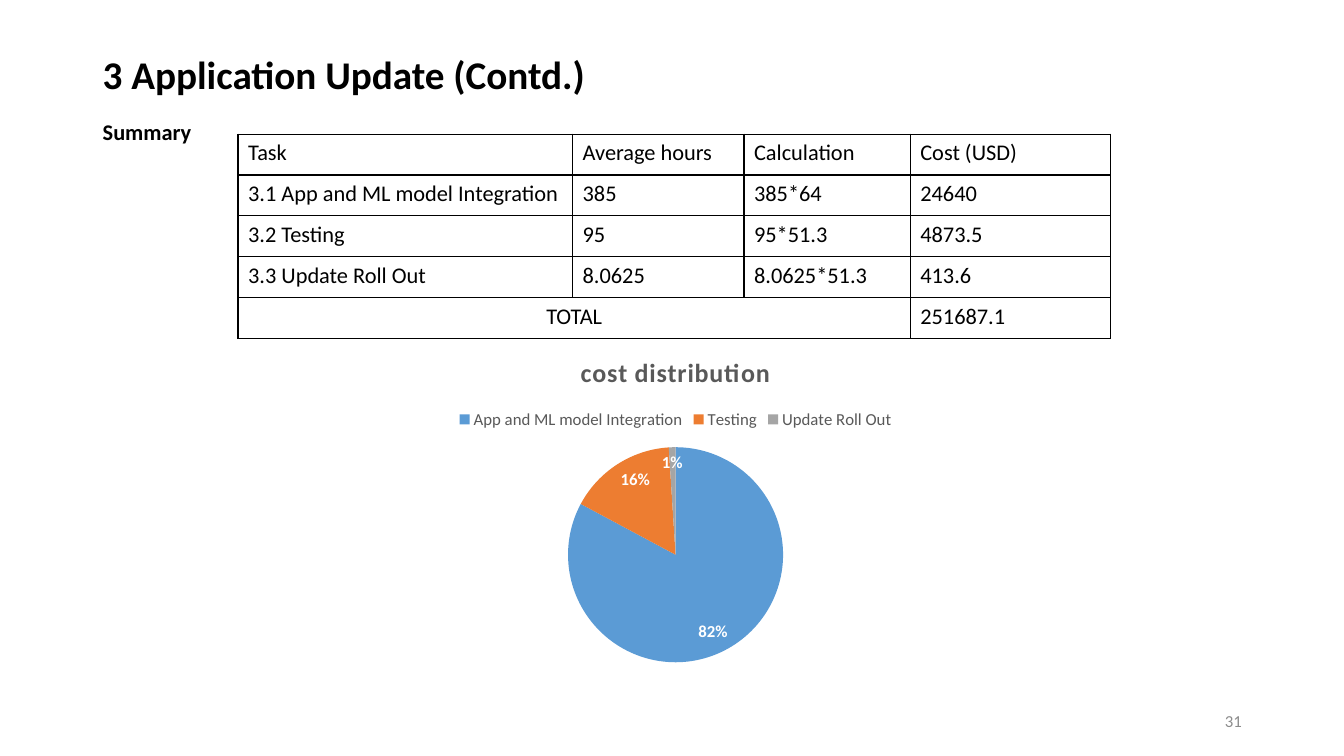
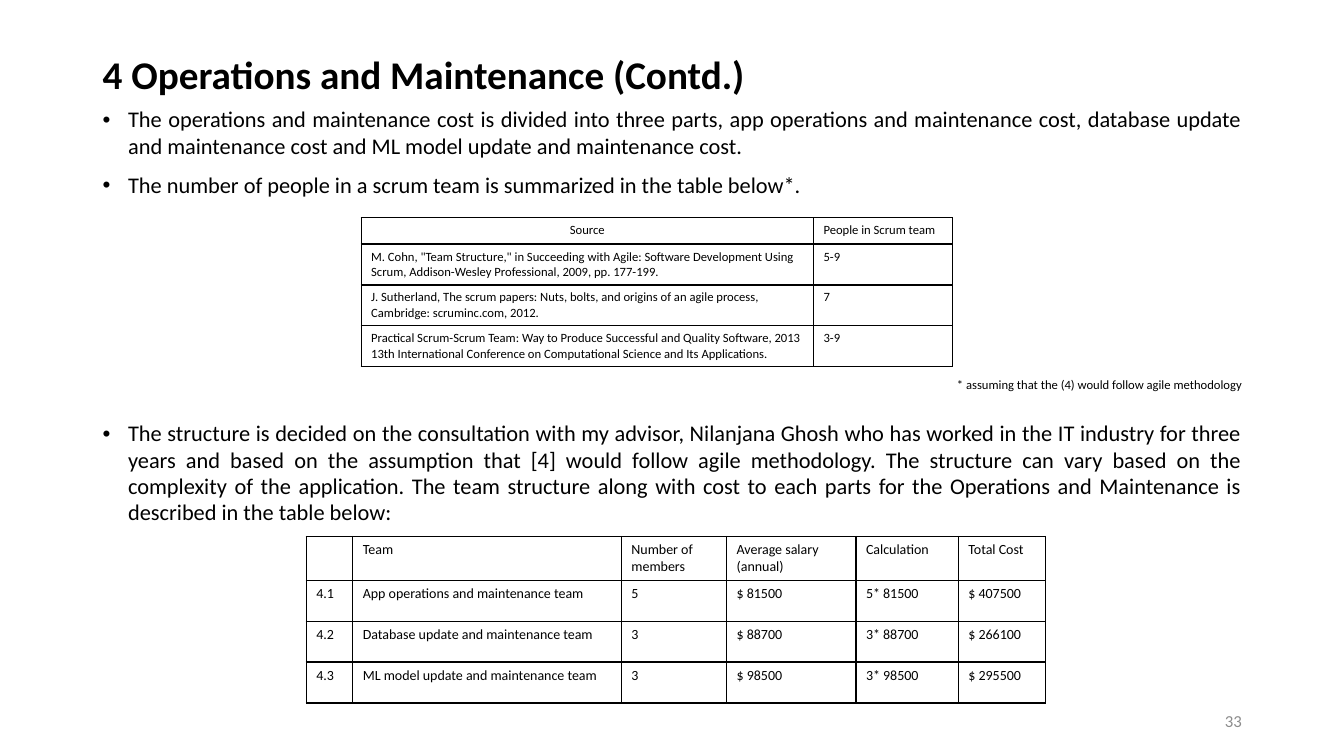
from lxml.etree import SubElement
from pptx import Presentation
from pptx.chart.data import CategoryChartData
from pptx.dml.color import RGBColor
from pptx.enum.chart import XL_CHART_TYPE as ChartType
from pptx.enum.chart import XL_LABEL_POSITION as LabelPosition
from pptx.enum.chart import XL_LEGEND_POSITION as LegendPosition
from pptx.enum.text import MSO_ANCHOR as Anchor
from pptx.enum.text import PP_ALIGN as Align
from pptx.oxml.ns import qn
from pptx.util import Cm, Pt

BLACK = RGBColor(0x00, 0x00, 0x00)
WHITE = RGBColor(0xFF, 0xFF, 0xFF)
CHART_GRAY = RGBColor(0x59, 0x59, 0x59)
NUMBER_GRAY = RGBColor(0x8C, 0x8C, 0x8C)
SLICE_COLORS = (
    RGBColor(0x5B, 0x9B, 0xD5),
    RGBColor(0xED, 0x7D, 0x31),
    RGBColor(0xA5, 0xA5, 0xA5),
)
FONT = "Calibri"
LEFT, WIDTH = 2.34, 29.21

COST_ROWS = (
    ("Task", "Average hours", "Calculation", "Cost (USD)"),
    ("3.1 App and ML model Integration", "385", "385*64", "24640"),
    ("3.2 Testing", "95", "95*51.3", "4873.5"),
    ("3.3 Update Roll Out", "8.0625", "8.0625*51.3", "413.6"),
    ("TOTAL", "", "", "251687.1"),
)
COST_SHARES = {"App and ML model Integration": 82, "Testing": 16, "Update Roll Out": 1}
SCRUM_ROWS = (
    ("Source", "People in Scrum team"),
    ('M. Cohn, "Team Structure," in Succeeding with Agile: Software Development Using '
     "Scrum, Addison-Wesley Professional, 2009, pp. 177-199.", "5-9"),
    ("J. Sutherland, The scrum papers: Nuts, bolts, and origins of an agile process, "
     "Cambridge: scruminc.com, 2012.", "7"),
    ("Practical Scrum-Scrum Team: Way to Produce Successful and Quality Software, 2013 "
     "13th International Conference on Computational Science and Its Applications.", "3-9"),
)
TEAM_ROWS = (
    ("", "Team", "Number of members", "Average salary\n(annual)", "Calculation", "Total Cost"),
    ("4.1", "App operations and maintenance team", "5", "$ 81500", "5* 81500", "$ 407500"),
    ("4.2", "Database update and maintenance team", "3", "$ 88700", "3* 88700", "$ 266100"),
    ("4.3", "ML model update and maintenance team", "3", "$ 98500", "3* 98500", "$ 295500"),
)
SCRUM_POINTS = (
    "The operations and maintenance cost is divided into three parts, app operations and "
    "maintenance cost, database update and maintenance cost and ML model update and "
    "maintenance cost.",
    "The number of people in a scrum team is summarized in the table below*.",
)
STRUCTURE_POINTS = (
    "The structure is decided on the consultation with my advisor, Nilanjana Ghosh who has "
    "worked in the IT industry for three years and based on the assumption that [4] would "
    "follow agile methodology. The structure can vary based on the complexity of the "
    "application. The team structure along with cost to each parts for the Operations and "
    "Maintenance is described in the table below:",
)


def set_values(target, values):
    """Set every attribute named in a dict."""
    for name, value in values.items():
        setattr(target, name, value)


def style_font(font, size, color=BLACK, bold=False):
    """Apply the deck font with a size, colour and weight."""
    set_values(font, {"name": FONT, "size": Pt(size), "bold": bold})
    font.color.rgb = color


def add_bullet(paragraph):
    """Give a paragraph a hanging round bullet."""
    properties = paragraph._p.get_or_add_pPr()
    properties.set("marL", str(Cm(0.64)))
    properties.set("indent", str(-Cm(0.64)))
    SubElement(properties, qn("a:buFont"), typeface="Arial")
    SubElement(properties, qn("a:buChar"), char="•")


def add_text(slide, box, texts, size, color=BLACK, bold=False, bullets=False,
             anchor=Anchor.TOP, **paragraph_format):
    """Add a wrapped text box with one paragraph per text."""
    frame = slide.shapes.add_textbox(*map(Cm, box)).text_frame
    set_values(frame, {"word_wrap": True, "vertical_anchor": anchor})
    for index, text in enumerate(texts):
        paragraph = frame.add_paragraph() if index else frame.paragraphs[0]
        paragraph.text = text
        if bullets:
            add_bullet(paragraph)
        set_values(paragraph, paragraph_format)
        if index:
            paragraph.space_before = Pt(9)
        style_font(paragraph.font, size, color, bold)


def add_bullets(slide, top, height, texts):
    """Add a justified bullet list across the content width."""
    add_text(slide, (LEFT, top, WIDTH, height), texts, 16, bullets=True,
             alignment=Align.JUSTIFY, line_spacing=0.98)


def add_borders(cell):
    """Draw thin black lines around a cell."""
    properties = cell._tc.get_or_add_tcPr()
    for side in ("a:lnL", "a:lnR", "a:lnT", "a:lnB"):
        line = SubElement(properties, qn(side), w=str(Pt(1)))
        fill = SubElement(line, qn("a:solidFill"))
        SubElement(fill, qn("a:srgbClr"), val=str(BLACK))


def add_grid(slide, left, top, columns, heights, rows, size):
    """Add a plain bordered table and return it."""
    table = slide.shapes.add_table(
        len(rows), len(columns), Cm(left), Cm(top), Cm(sum(columns)), Cm(sum(heights))).table
    set_values(table, {"first_row": False, "horz_banding": False})
    for column, width in zip(table.columns, columns):
        column.width = Cm(width)
    for row, height, texts in zip(table.rows, heights, rows):
        row.height = Cm(height)
        for cell, text in zip(row.cells, texts):
            cell.text = text
            add_borders(cell)
            cell.fill.background()
            for paragraph in cell.text_frame.paragraphs:
                style_font(paragraph.font, size)
    return table


def center_cell(cell):
    """Center the text of a cell."""
    cell.text_frame.paragraphs[0].alignment = Align.CENTER


def add_cost_pie(slide):
    """Add the pie chart of cost shares."""
    data = CategoryChartData()
    data.categories = list(COST_SHARES)
    data.add_series("cost distribution", list(COST_SHARES.values()))
    chart = slide.shapes.add_chart(
        ChartType.PIE, Cm(5.94), Cm(8.51), Cm(22.17), Cm(8.53), data).chart
    style_font(chart.font, 10)
    set_values(chart, {"has_title": True, "has_legend": True})

    title = chart.chart_title.text_frame
    title.text = "cost distribution"
    title_run = title.paragraphs[0].runs[0]
    style_font(title_run.font, 18.6, CHART_GRAY, True)
    title_run._r.get_or_add_rPr().set("spc", "50")

    set_values(chart.legend, {"position": LegendPosition.TOP, "include_in_layout": False})
    style_font(chart.legend.font, 12, CHART_GRAY)

    plot = chart.plots[0]
    set_values(plot, {"vary_by_categories": True, "has_data_labels": True})
    labels = plot.data_labels
    set_values(labels, {
        "show_value": True,
        "number_format": '0"%"',
        "number_format_is_linked": False,
        "position": LabelPosition.INSIDE_END,
    })
    style_font(labels.font, 12, WHITE, True)
    for index, color in enumerate(SLICE_COLORS):
        fill = plot.series[0].points[index].format.fill
        fill.solid()
        fill.fore_color.rgb = color


def add_content_slide(presentation, title, number):
    """Add a blank slide with the shared title and page number."""
    slide = presentation.slides.add_slide(presentation.slide_layouts[6])
    add_text(slide, (LEFT, 1.02, WIDTH, 1.83), [title], 28, bold=True,
             anchor=Anchor.MIDDLE, line_spacing=0.9)
    add_text(slide, (23.93, 17.65, 7.62, 1.02), [number], 12, NUMBER_GRAY,
             anchor=Anchor.MIDDLE, alignment=Align.RIGHT)
    return slide


def build_update_slide(presentation):
    """Build the application update summary."""
    slide = add_content_slide(presentation, "3 Application Update (Contd.)", "31")
    add_text(slide, (LEFT, 2.84, 3.5, 1), ["Summary"], 16, bold=True)
    table = add_grid(slide, 6, 3.38, (8.43, 4.32, 4.19, 5.05), [1.03] * 5, COST_ROWS, 16)
    table.cell(4, 0).merge(table.cell(4, 2))
    center_cell(table.cell(4, 0))
    add_cost_pie(slide)


def build_operations_slide(presentation):
    """Build the operations and maintenance team overview."""
    slide = add_content_slide(presentation, "4 Operations and Maintenance (Contd.)", "33")
    add_bullets(slide, 2.57, 2.8, SCRUM_POINTS)
    table = add_grid(slide, 9.1, 5.49, (11.4, 3.5), [0.66] + [1.03] * 3, SCRUM_ROWS, 9)
    center_cell(table.cell(0, 0))
    add_text(slide, (19.63, 9.37, 11.91, 0.64),
             ["* assuming that the (4) would follow agile methodology"], 9,
             alignment=Align.RIGHT)
    add_bullets(slide, 10.48, 2.95, STRUCTURE_POINTS)
    add_grid(slide, 7.72, 13.52, (1.17, 6.77, 2.65, 3.26, 2.58, 2.2),
             [1.09] + [1.03] * 3, TEAM_ROWS, 10)


def main():
    """Build and save the presentation."""
    presentation = Presentation()
    set_values(presentation, {"slide_width": Cm(33.87), "slide_height": Cm(19.05)})
    build_update_slide(presentation)
    build_operations_slide(presentation)
    presentation.save("out.pptx")


if __name__ == "__main__":
    main()
